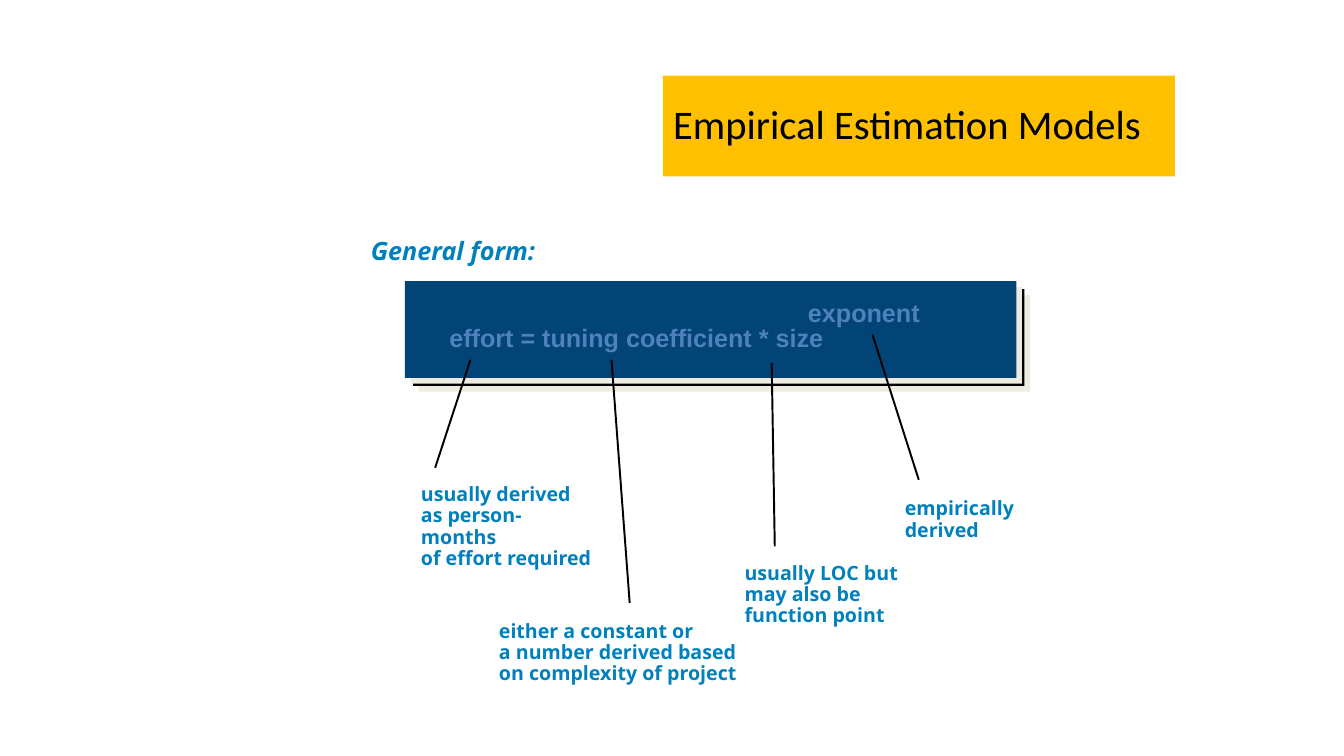
from lxml import etree
from pptx import Presentation
from pptx.dml.color import RGBColor
from pptx.enum.shapes import MSO_CONNECTOR, MSO_SHAPE
from pptx.enum.text import MSO_ANCHOR, MSO_AUTO_SIZE, PP_ALIGN
from pptx.oxml.ns import qn
from pptx.util import Pt

RECT = MSO_SHAPE.RECTANGLE
STRAIGHT = MSO_CONNECTOR.STRAIGHT
MIDDLE = MSO_ANCHOR.MIDDLE
NO_AUTOFIT = MSO_AUTO_SIZE.NONE
LEFT = PP_ALIGN.LEFT
TITLE_ONLY = 5

BLACK, AMBER, NAVY = "000000", "FFC000", "024476"
BLUE, FORMULA_BLUE, SHADOW = "0081BD", "4F81BD", "EEECE1"

LABELS = [
    (265, 170.6, 118, "General form:", "Open Sans", BLUE, True),
    (321.1, 232.6, 268, "effort = tuning coefficient * size", "Arial", FORMULA_BLUE, False),
    (577.4, 214.6, 80, "exponent", "Arial", FORMULA_BLUE, False),
]
NOTES = [
    (300.8, 346.3, 126, ["usually derived", "as person-months", "of effort required"]),
    (356.6, 444, 174, ["either a constant or", "a number derived based", "on complexity of project"]),
    (532.1, 402.5, 111, ["usually LOC but", "may also be", "function point"]),
    (646.6, 356.4, 79, ["empirically", "derived"]),
]
POINTERS = [
    (336.2, 257, 311, 334.1),
    (437, 257, 450, 430.6),
    (551.5, 259.2, 553.7, 390.2),
    (623.5, 239, 656.6, 342.7),
]


def rgb(value):
    return RGBColor.from_string(value)


def write_lines(tf, lines, font, size, color, bold=True, italic=False):
    for i, line in enumerate(lines):
        p = tf.paragraphs[0] if i == 0 else tf.add_paragraph()
        p.alignment = LEFT
        p.line_spacing = 0.9
        p.space_before = Pt(0)
        r = p.add_run()
        r.text = line
        r.font.name = font
        r.font.size = Pt(size)
        r.font.bold = bold
        r.font.italic = italic
        r.font.color.rgb = rgb(color)


def add_title(s, text):
    title = s.shapes.title
    title.left, title.top, title.width, title.height = Pt(473.8), Pt(54), Pt(365.8), Pt(72)
    title.fill.solid()
    title.fill.fore_color.rgb = rgb(AMBER)
    tf = title.text_frame
    tf.auto_size = NO_AUTOFIT
    tf.vertical_anchor = MIDDLE
    write_lines(tf, [text], "Calibri", 29, BLACK, bold=False)


def add_panel(s, x, y, color):
    panel = s.shapes.add_shape(RECT, Pt(x), Pt(y), Pt(437), Pt(69.1))
    panel.fill.solid()
    panel.fill.fore_color.rgb = rgb(color)
    panel.line.fill.background()
    panel.shadow.inherit = False
    effects = panel._element.spPr.find(qn("a:effectLst"))
    shadow = etree.SubElement(effects, qn("a:outerShdw"), blurRad="0", dist=str(Pt(5.7)),
                              dir="2700000", algn="ctr", rotWithShape="0")
    etree.SubElement(shadow, qn("a:srgbClr"), val=SHADOW)


def add_text(s, x, y, w, lines, font, size, color, italic=False):
    box = s.shapes.add_textbox(Pt(x), Pt(y), Pt(w), Pt(size * 1.1 * len(lines)))
    tf = box.text_frame
    tf.margin_left = tf.margin_top = tf.margin_right = tf.margin_bottom = 0
    tf.word_wrap = False
    write_lines(tf, lines, font, size, color, italic=italic)


def add_pointer(s, x1, y1, x2, y2):
    pointer = s.shapes.add_connector(STRAIGHT, Pt(x1), Pt(y1), Pt(x2), Pt(y2))
    pointer.line.color.rgb = rgb(BLACK)
    pointer.line.width = Pt(1.39)
    etree.SubElement(pointer._element.spPr, qn("a:effectLst"))


def main():
    prs = Presentation()
    prs.slide_width, prs.slide_height = Pt(960.5), Pt(540)
    s = prs.slides.add_slide(prs.slide_layouts[TITLE_ONLY])
    add_title(s, "Empirical Estimation Models")
    add_panel(s, 295.2, 206.6, BLACK)
    add_panel(s, 289.4, 200.9, NAVY)
    for x, y, w, text, font, color, italic in LABELS:
        add_text(s, x, y, w, [text], font, 18, color, italic)
    for ends in POINTERS:
        add_pointer(s, *ends)
    for x, y, w, lines in NOTES:
        add_text(s, x, y, w, lines, "Open Sans", 14, BLUE)
    prs.save("out.pptx")


if __name__ == "__main__":
    main()
